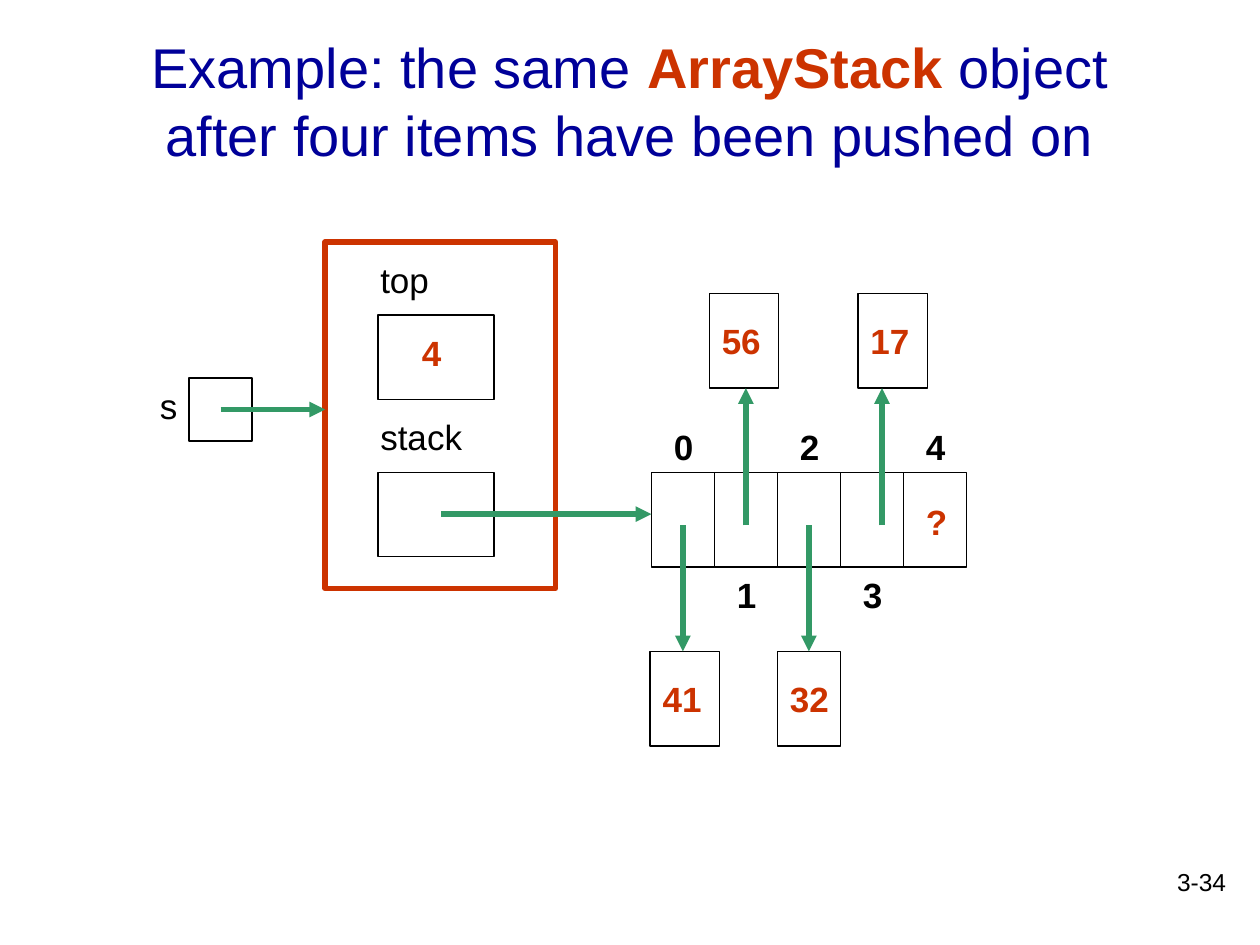
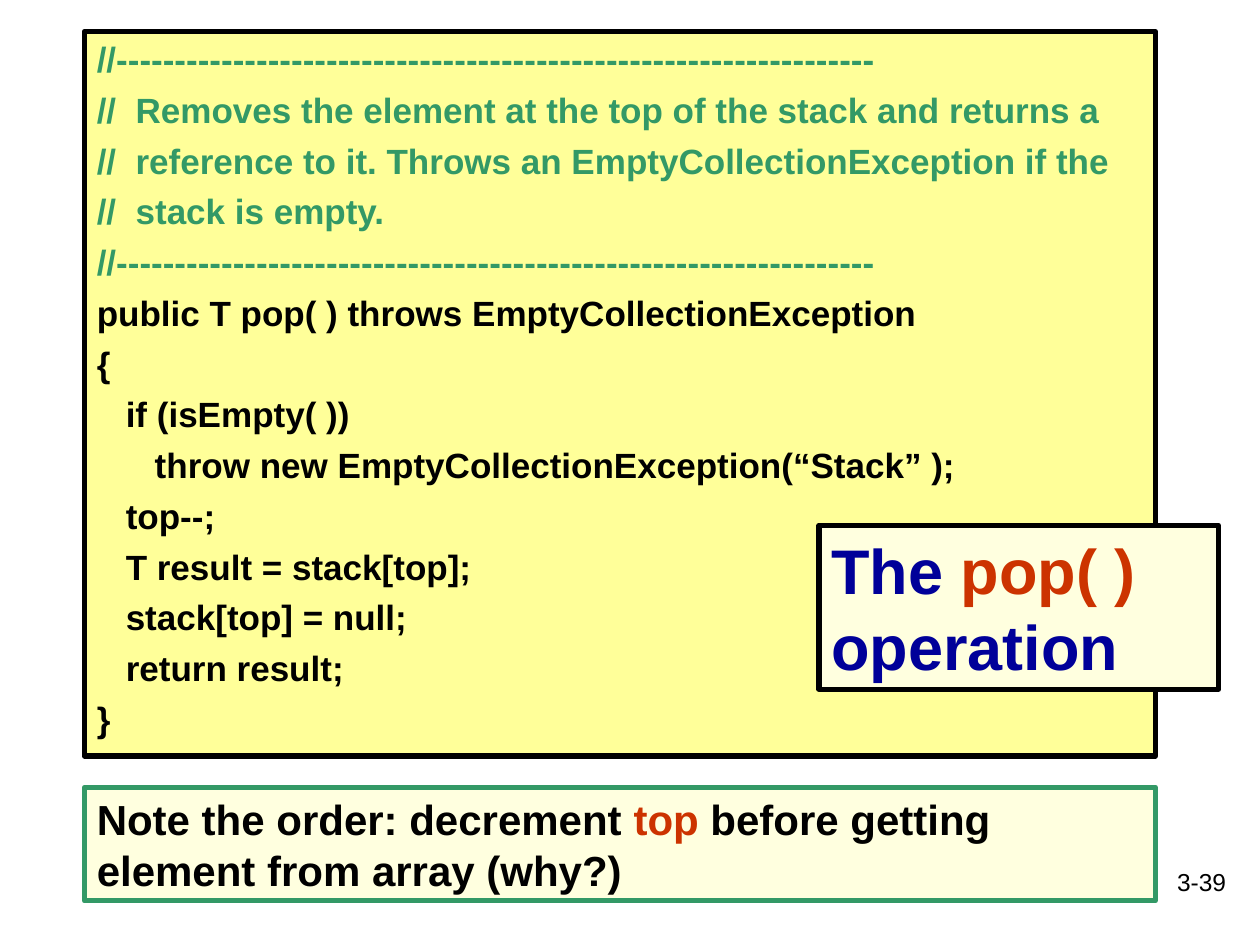
from dataclasses import dataclass

from pptx import Presentation
from pptx.dml.color import RGBColor
from pptx.enum.shapes import MSO_CONNECTOR, MSO_SHAPE
from pptx.enum.text import MSO_ANCHOR, PP_ALIGN
from pptx.oxml.ns import qn
from pptx.util import Inches, Pt
from lxml import etree

RECTANGLE = MSO_SHAPE.RECTANGLE
STRAIGHT = MSO_CONNECTOR.STRAIGHT
LEFT, CENTER, RIGHT = PP_ALIGN.LEFT, PP_ALIGN.CENTER, PP_ALIGN.RIGHT
TOP, MIDDLE = MSO_ANCHOR.TOP, MSO_ANCHOR.MIDDLE


@dataclass(frozen=True)
class Theme:
    font: str = "Arial"
    black: str = "000000"
    navy: str = "000099"
    red: str = "CC3300"
    green: str = "339966"
    yellow: str = "FFFF99"
    cream: str = "FFFFDF"
    footer_size: int = 14
    body_size: int = 20
    note_size: int = 24
    title_size: int = 32
    callout_size: int = 36
    thin: float = 0.75
    thick: float = 3


theme = Theme()


def add_box(slide, bounds, lines=(), size=theme.body_size, line=None, width=theme.thin,
            fill=None, align=LEFT, anchor=TOP, space_before=0):
    """Add a box; lines is a list of (indent, runs), a run is (text, colour, bold)."""
    left, top, box_width, box_height = map(Inches, bounds)
    if line:
        shape = slide.shapes.add_shape(RECTANGLE, left, top, box_width, box_height)
        shape.shadow.inherit = False
        shape.line.color.rgb = RGBColor.from_string(line)
        shape.line.width = Pt(width)
        if fill:
            shape.fill.solid()
            shape.fill.fore_color.rgb = RGBColor.from_string(fill)
        else:
            shape.fill.background()
    else:
        shape = slide.shapes.add_textbox(left, top, box_width, box_height)
    frame = shape.text_frame
    frame.word_wrap = True
    frame.vertical_anchor = anchor
    for number, (indent, runs) in enumerate(lines):
        paragraph = frame.add_paragraph() if number else frame.paragraphs[0]
        paragraph.alignment = align
        paragraph.space_before = Pt(space_before)
        if indent:
            paragraph._p.get_or_add_pPr().set("marL", str(Inches(indent)))
        for text, colour, bold in runs:
            run = paragraph.add_run()
            run.text = text
            run.font.name = theme.font
            run.font.size = Pt(size)
            run.font.bold = bold
            run.font.color.rgb = RGBColor.from_string(colour)


def add_arrow(slide, start, end):
    arrow = slide.shapes.add_connector(STRAIGHT, *map(Inches, start + end))
    arrow.line.color.rgb = RGBColor.from_string(theme.green)
    arrow.line.width = Pt(theme.thick)
    etree.SubElement(arrow.line._get_or_add_ln(), qn("a:tailEnd"), type="triangle")
    etree.SubElement(arrow._element.spPr, qn("a:effectLst"))


presentation = Presentation()
presentation.slide_width = Inches(10)
presentation.slide_height = Inches(7.5)
blank_layout = presentation.slide_layouts[6]

# Slides with their page numbers
slides = []
for page in ("3-34", "3-39"):
    slide = presentation.slides.add_slide(blank_layout)
    add_box(slide, (7.75, 6.83, 2.08, 0.5), [(0, [(page, theme.black, False)])],
            size=theme.footer_size, align=RIGHT)
    slides.append(slide)
stack_slide, pop_slide = slides

# Stack diagram: title
title_runs = [
    ("Example: the same ", theme.navy, False),
    ("ArrayStack", theme.red, True),
    (" object after four items have been pushed on", theme.navy, False),
]
add_box(stack_slide, (0.75, 0.17, 8.5, 1.25), [(0, title_runs)],
        size=theme.title_size, align=CENTER, anchor=MIDDLE)

# Stack object with its two fields, and the variable that refers to it
for field_top in (2.5, 3.75):
    add_box(stack_slide, (3, field_top, 0.92, 0.67), line=theme.black)
add_box(stack_slide, (2.58, 1.92, 1.83, 2.75), line=theme.red, width=theme.thick)
add_box(stack_slide, (1.5, 3, 0.5, 0.5), line=theme.black)

# Array cells
array_left, array_top, cell_width, cell_height = 5.17, 3.75, 0.5, 0.75
for index in range(5):
    cell_left = array_left + index * cell_width
    add_box(stack_slide, (cell_left, array_top, cell_width, cell_height), line=theme.black)
    index_top = 4.5 if index % 2 else 3.33
    add_box(stack_slide, (cell_left + 0.08, index_top, 0.33, 0.44),
            [(0, [(str(index), theme.black, True)])])

# Items that the cells refer to: value, left, top, width
items = [
    ("41", 5.16, 5.17, 0.55),
    ("56", 5.63, 2.33, 0.55),
    ("32", 6.17, 5.17, 0.5),
    ("17", 6.81, 2.33, 0.55),
]
for value, left, top, width in items:
    add_box(stack_slide, (left, top, width, cell_height), line=theme.black)
    add_box(stack_slide, (left, top + 0.16, 0.58, 0.44), [(0, [(value, theme.red, True)])])

# Labels: text, left, top, width, colour, bold
labels = [
    ("top", 2.92, 2, 1, theme.black, False),
    ("stack", 2.92, 3.25, 1.33, theme.black, False),
    ("s", 1.17, 3, 0.5, theme.black, False),
    ("4", 3.25, 2.58, 0.42, theme.red, True),
    ("?", 7.25, 3.92, 0.33, theme.red, True),
]
for text, left, top, width, colour, bold in labels:
    add_box(stack_slide, (left, top, width, 0.44), [(0, [(text, colour, bold)])])

# References
add_arrow(stack_slide, (1.75, 3.25), (2.58, 3.25))
add_arrow(stack_slide, (3.5, 4.08), (array_left, 4.08))
for x, end_y in ((5.42, 5.17), (5.92, 3.08), (6.42, 5.17), (7, 3.08)):
    add_arrow(stack_slide, (x, 4.17), (x, end_y))

# Pop operation: code listing, each line with its nesting level
rule = "//" + "-" * 65
comments = [
    rule,
    "//  Removes the element at the top of the stack and returns a",
    "//  reference to it. Throws an EmptyCollectionException if the",
    "//  stack is empty.",
    rule,
]
code = [
    (0, "public T pop( ) throws EmptyCollectionException"),
    (0, "{"),
    (1, "if (isEmpty( ))"),
    (2, "throw new EmptyCollectionException(“Stack” );"),
    (1, "top--;"),
    (1, "T result = stack[top];"),
    (1, "stack[top] = null;"),
    (1, "return result;"),
    (0, "}"),
]
code_indent = 0.23
listing = [(0, [(text, theme.green, True)]) for text in comments]
listing += [(level * code_indent, [(text, theme.black, True)]) for level, text in code]
add_box(pop_slide, (0.67, 0.25, 8.5, 5.75), listing, line=theme.black,
        width=theme.thick, fill=theme.yellow, space_before=5)

# Note below the listing
note_runs = [
    ("Note the order: decrement ", theme.black, True),
    ("top", theme.red, True),
    (" before getting element from array (why?)", theme.black, True),
]
add_box(pop_slide, (0.67, 6.25, 8.5, 0.9), [(0, note_runs)], size=theme.note_size,
        line=theme.green, width=theme.thick, fill=theme.cream)

# Callout that names the operation
callout_runs = [
    ("The ", theme.navy, True),
    ("pop( ) ", theme.red, True),
    ("operation", theme.navy, True),
]
add_box(pop_slide, (6.5, 4.17, 3.17, 1.3), [(0, callout_runs)], size=theme.callout_size,
        line=theme.black, width=theme.thick, fill=theme.cream)

presentation.save("out.pptx")
